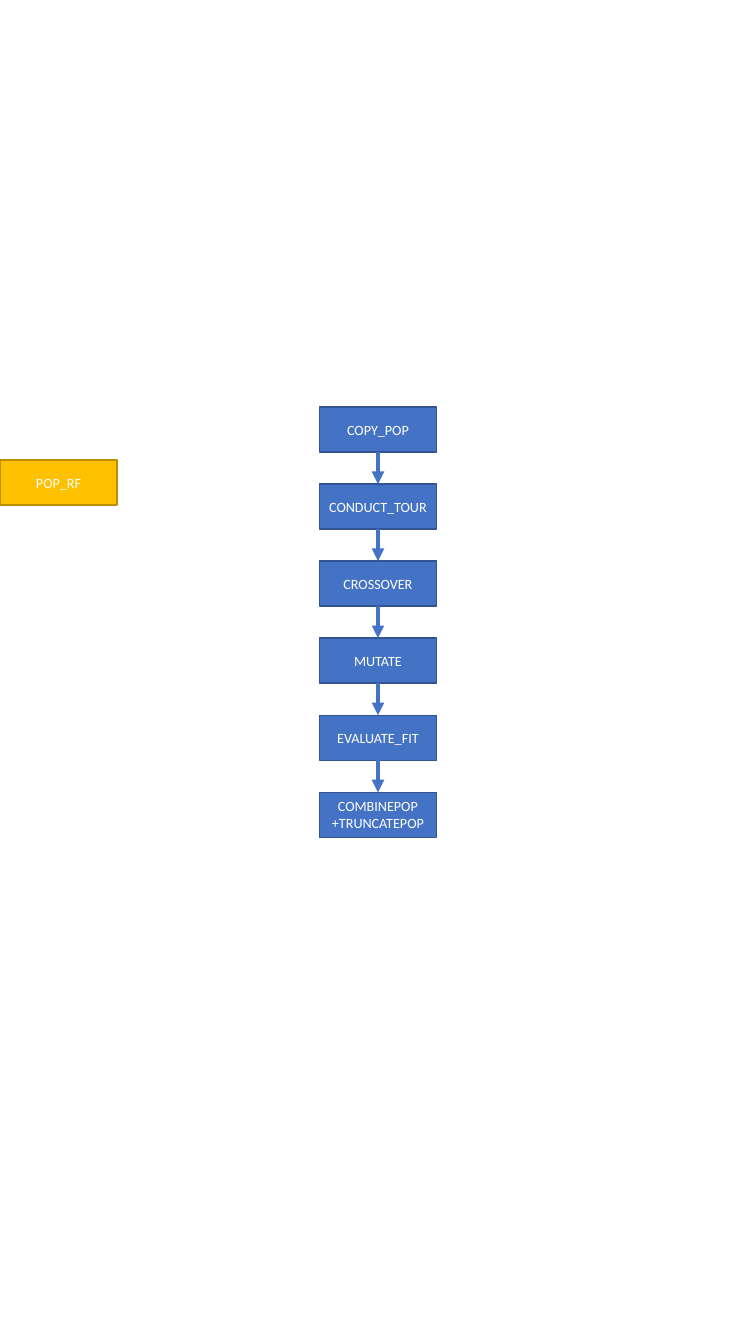
import pptx
import pptx.util
import pptx.dml.color
import pptx.enum.shapes
import pptx.enum.text
import pptx.oxml
import pptx.oxml.ns

Pt = pptx.util.Pt
COLOURS = {
    "step": "4472C4",
    "step edge": "325491",
    "population": "FFC000",
    "population edge": "BD8E00",
    "text": "FFFFFF",
}
SLIDE_WIDTH, SLIDE_HEIGHT = 540, 960
BOX_WIDTH, BOX_HEIGHT = 83.6, 32.2
FIRST_TOP, STEP_PITCH = 290.7, 55.05


def colour(name):
    return pptx.dml.color.RGBColor.from_string(COLOURS[name])


def add_box(left, top, lines, fill):
    box = slide.shapes.add_shape(
        pptx.enum.shapes.MSO_SHAPE.RECTANGLE,
        Pt(left), Pt(top), Pt(BOX_WIDTH), Pt(BOX_HEIGHT))
    box.shadow.inherit = False
    box.fill.solid()
    box.fill.fore_color.rgb = colour(fill)
    box.line.color.rgb = colour(fill + " edge")
    box.line.width = Pt(1)
    frame = box.text_frame
    frame.word_wrap = True
    frame.vertical_anchor = pptx.enum.text.MSO_ANCHOR.MIDDLE
    frame.margin_left = frame.margin_right = Pt(4)
    frame.margin_top = frame.margin_bottom = Pt(2)
    for number, line in enumerate(lines):
        paragraph = frame.add_paragraph() if number else frame.paragraphs[0]
        paragraph.alignment = pptx.enum.text.PP_ALIGN.CENTER
        run = paragraph.add_run()
        run.text = line
        run.font.name = "Calibri"
        run.font.size = Pt(10.1)
        run.font.color.rgb = colour("text")
    return box


presentation = pptx.Presentation()
presentation.slide_width = Pt(SLIDE_WIDTH)
presentation.slide_height = Pt(SLIDE_HEIGHT)
slide = presentation.slides.add_slide(presentation.slide_layouts[6])

# Starting population
add_box(0, 328.5, ["POP_RF"], "population")

# Column of algorithm steps, centred on the slide
step_texts = [
    ["COPY_POP"],
    ["CONDUCT_TOUR"],
    ["CROSSOVER"],
    ["MUTATE"],
    ["EVALUATE_FIT"],
    ["COMBINEPOP", "+TRUNCATEPOP"],
]
step_left = (SLIDE_WIDTH - BOX_WIDTH) / 2
steps = [add_box(step_left, FIRST_TOP + index * STEP_PITCH, lines, "step")
         for index, lines in enumerate(step_texts)]

# Arrows from each step to the next
for upper, lower in zip(steps, steps[1:]):
    arrow = slide.shapes.add_connector(
        pptx.enum.shapes.MSO_CONNECTOR.STRAIGHT, 0, 0, 0, 0)
    arrow.begin_connect(upper, 2)
    arrow.end_connect(lower, 0)
    arrow.line.color.rgb = colour("step")
    arrow.line.width = Pt(3)
    head = pptx.oxml.parse_xml(
        f'<a:tailEnd {pptx.oxml.ns.nsdecls("a")} type="triangle"/>')
    arrow.line._get_or_add_ln().append(head)
    no_shadow = pptx.oxml.parse_xml(
        f'<a:effectLst {pptx.oxml.ns.nsdecls("a")}/>')
    arrow._element.spPr.append(no_shadow)

presentation.save("out.pptx")
